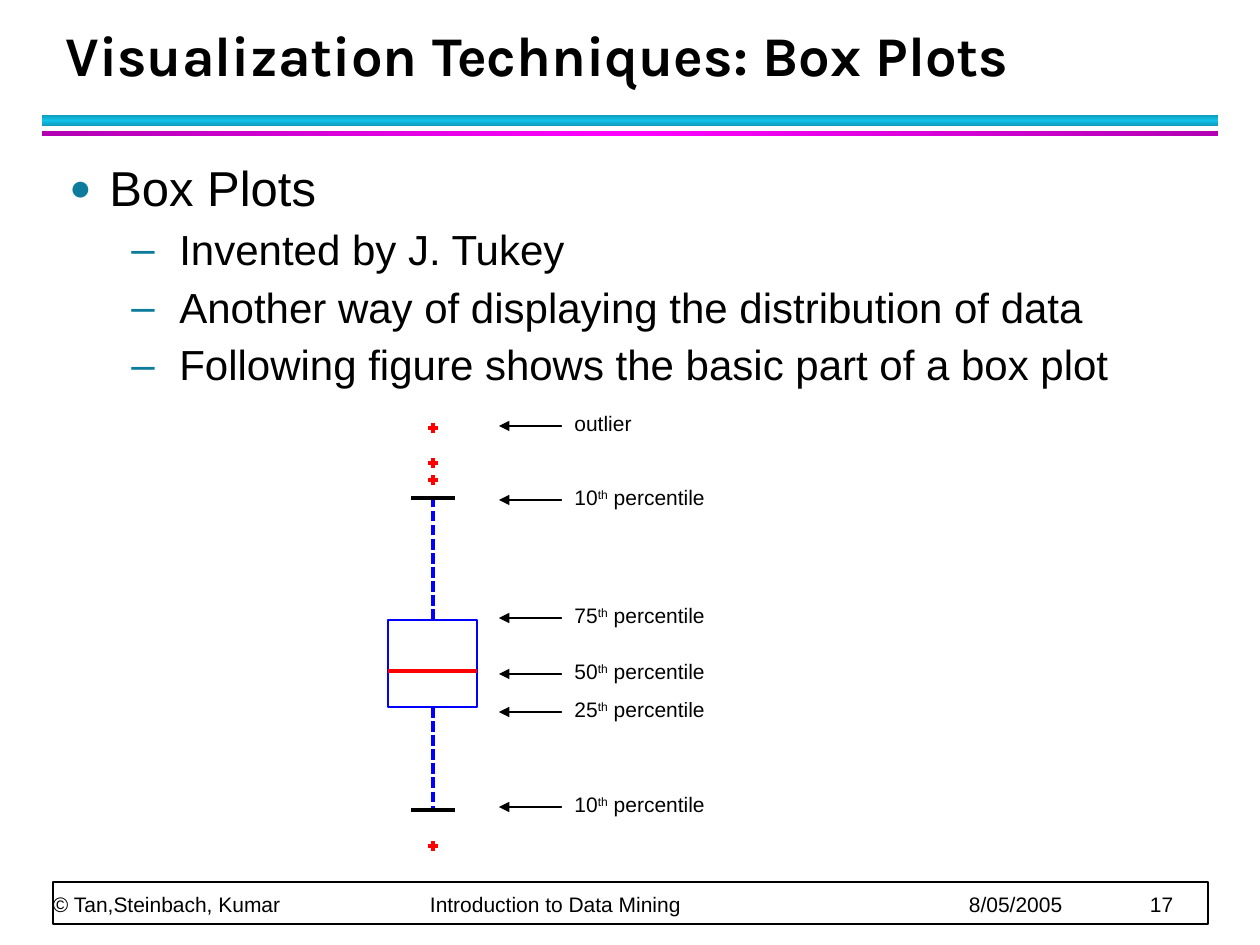
from copy import deepcopy

from lxml import etree
from pptx import Presentation
from pptx.dml.color import RGBColor
from pptx.enum.dml import MSO_LINE
from pptx.enum.shapes import MSO_CONNECTOR, MSO_SHAPE
from pptx.enum.text import MSO_ANCHOR
from pptx.oxml.ns import qn
from pptx.util import Emu, Pt

EMU_PER_PX = 914400 / 126
RECTANGLE = MSO_SHAPE.RECTANGLE
STRAIGHT = MSO_CONNECTOR.STRAIGHT
DASH = MSO_LINE.SQUARE_DOT
TOP, BOTTOM = MSO_ANCHOR.TOP, MSO_ANCHOR.BOTTOM
COLORS = {
    "ink": "000000", "paper": "FFFFFF", "bullet": "0C7B9C",
    "box": "0000FF", "mark": "FF0000",
    "teal": "0E9BBA", "cyan": "12C2E9", "purple": "B200B2", "magenta": "FF00FF",
}


def px(length):
    """Turn pixels into EMU."""
    return Emu(round(length * EMU_PER_PX))


def rgb(name):
    """Look up a named colour."""
    return RGBColor.from_string(COLORS[name])


class SlideBuilder:
    """Holds the text style and the current slide."""

    def __init__(self, slide, font="Arial"):
        """Keep the slide and its main font."""
        self.slide = slide
        self.font = font

    def rectangle(self, left, top, width, height, fill=None, line=None, weight=0):
        """Draw a rectangle with optional fill and outline."""
        shape = self.slide.shapes.add_shape(RECTANGLE, px(left), px(top), px(width), px(height))
        shape.shadow.inherit = False
        if fill:
            shape.fill.solid()
            shape.fill.fore_color.rgb = rgb(fill)
        else:
            shape.fill.background()
        if line:
            shape.line.color.rgb = rgb(line)
            shape.line.width = Pt(weight)
        else:
            shape.line.fill.background()
        return shape

    def gradient_bar(self, left, top, width, height, edge, middle, angle):
        """Draw a bar that runs from edge to middle colour and back."""
        fill = self.rectangle(left, top, width, height, edge)
        fill.fill.gradient()
        fill.fill.gradient_angle = angle
        stop_list = next(fill._element.iter(qn("a:gsLst")))
        stop_list.append(deepcopy(stop_list[0]))
        for stop, position, name in zip(fill.fill.gradient_stops, (0, 0.5, 1), (edge, middle, edge)):
            stop.position = position
            stop.color.rgb = rgb(name)

    def line(self, x1, y1, x2, y2, color="ink", weight=0, dash=None, arrow=False):
        """Draw a straight line, with an arrowhead at its start if asked."""
        connector = self.slide.shapes.add_connector(STRAIGHT, px(x1), px(y1), px(x2), px(y2))
        connector.line.color.rgb = rgb(color)
        connector.line.width = Pt(weight)
        if dash:
            connector.line.dash_style = dash
        if arrow:
            etree.SubElement(connector.line._get_or_add_ln(), qn("a:headEnd"), type="triangle")
        etree.SubElement(connector._element.spPr, qn("a:effectLst"))

    def cross(self, x, y, arm=5):
        """Draw a plus mark centred on a point."""
        self.line(x - arm, y, x + arm, y, "mark")
        self.line(x, y - arm, x, y + arm, "mark")

    def text_frame(self, left, top, width, height, anchor=TOP, inset=True, fill=None):
        """Add a wrapping text box and return its frame."""
        box = self.slide.shapes.add_textbox(px(left), px(top), px(width), px(height))
        if fill:
            box.fill.solid()
            box.fill.fore_color.rgb = rgb(fill)
        frame = box.text_frame
        frame.word_wrap = True
        frame.vertical_anchor = anchor
        if not inset:
            frame.margin_left = frame.margin_right = frame.margin_top = frame.margin_bottom = 0
        return frame

    def run(self, paragraph, text, size, font=None, bold=False, superscript=False):
        """Add one run of text."""
        run = paragraph.add_run()
        run.text = text
        run.font.name = font or self.font
        run.font.size = Pt(size)
        run.font.bold = bold
        run.font.color.rgb = rgb("ink")
        if superscript:
            run._r.get_or_add_rPr().set("baseline", "30000")

    def bullet(self, paragraph, character, margin, hanging, percent):
        """Give a paragraph a coloured bullet and a hanging indent."""
        properties = paragraph._p.get_or_add_pPr()
        properties.set("marL", str(px(margin)))
        properties.set("indent", str(-px(hanging)))
        color = etree.SubElement(properties, qn("a:buClr"))
        etree.SubElement(color, qn("a:srgbClr"), val=COLORS["bullet"])
        etree.SubElement(properties, qn("a:buSzPct"), val=str(percent * 1000))
        etree.SubElement(properties, qn("a:buFont"), typeface=self.font)
        etree.SubElement(properties, qn("a:buChar"), char=character)

    def tabs(self, paragraph, positions):
        """Set left tab stops."""
        tab_list = etree.SubElement(paragraph._p.get_or_add_pPr(), qn("a:tabLst"))
        for position in positions:
            etree.SubElement(tab_list, qn("a:tab"), pos=str(px(position)), algn="l")

    def callout(self, y, text, ordinal=""):
        """Add an arrow and its label."""
        self.line(499, y, 562, y, weight=0.75, arrow=True)
        width, height = (173, 47) if ordinal else (95, 32)
        paragraph = self.text_frame(562, y - 19, width, height, fill="paper").paragraphs[0]
        paragraph.line_spacing = 0.9
        paragraph.space_after = Pt(4)
        if ordinal:
            self.run(paragraph, ordinal, 12)
            self.run(paragraph, "th", 12, superscript=True)
        self.run(paragraph, text, 12)


def add_frame(builder):
    """Add the title bars, footer and title."""
    builder.gradient_bar(42, 115, 1176, 11, "teal", "cyan", 90)
    builder.gradient_bar(42, 131, 1176, 5, "purple", "magenta", 0)
    builder.rectangle(53, 882, 1155, 42, "paper", "ink", 1)
    footer = builder.text_frame(53, 847, 1153, 70, BOTTOM, inset=False).paragraphs[0]
    footer.line_spacing = Pt(20)
    builder.tabs(footer, (377, 916, 1097))
    builder.run(footer, "© Tan,Steinbach, Kumar\tIntroduction to Data Mining\t8/05/2005\t17", 12)
    title = builder.text_frame(53, 21, 1142, 73, BOTTOM).paragraphs[0]
    title.line_spacing = Pt(36)
    builder.run(title, "Visualization Techniques: Box Plots", 32, "Karla", bold=True)


def add_body(builder):
    """Add the bulleted text."""
    frame = builder.text_frame(57, 158, 1162, 252)
    heading = frame.paragraphs[0]
    builder.bullet(heading, "●", 40, 40, 75)
    builder.run(heading, "Box Plots", 28)
    for text in (
        "Invented by J. Tukey",
        "Another way of displaying the distribution of data",
        "Following figure shows the basic part of a box plot",
    ):
        paragraph = frame.add_paragraph()
        paragraph.level = 1
        paragraph.space_before = Pt(3)
        builder.bullet(paragraph, "–", 110, 48, 100)
        builder.run(paragraph, text, 24)
    for paragraph in frame.paragraphs:
        paragraph.line_spacing = 0.9
        paragraph.space_after = Pt(4)


def add_box_plot(builder):
    """Draw the box plot and its callouts."""
    center = 433
    for cap, box_edge in ((498, 620), (810, 707)):
        builder.line(center, box_edge, center, cap, "box", dash=DASH)
        builder.line(center - 22, cap, center + 22, cap)
    builder.rectangle(388, 620, 89, 87, line="box")
    builder.line(388, 671, 477, 671, "mark")
    for y in (428, 463, 480, 846):
        builder.cross(center, y)
    builder.callout(426, "outlier")
    for y, ordinal in ((807, "10"), (712, "25"), (618, "75"), (674, "50"), (500, "10")):
        builder.callout(y, " percentile", ordinal)


def main():
    """Build and save the slide."""
    presentation = Presentation()
    presentation.slide_width, presentation.slide_height = px(1260), px(945)
    builder = SlideBuilder(presentation.slides.add_slide(presentation.slide_layouts[6]))
    add_frame(builder)
    add_body(builder)
    add_box_plot(builder)
    presentation.save("out.pptx")


if __name__ == "__main__":
    main()
